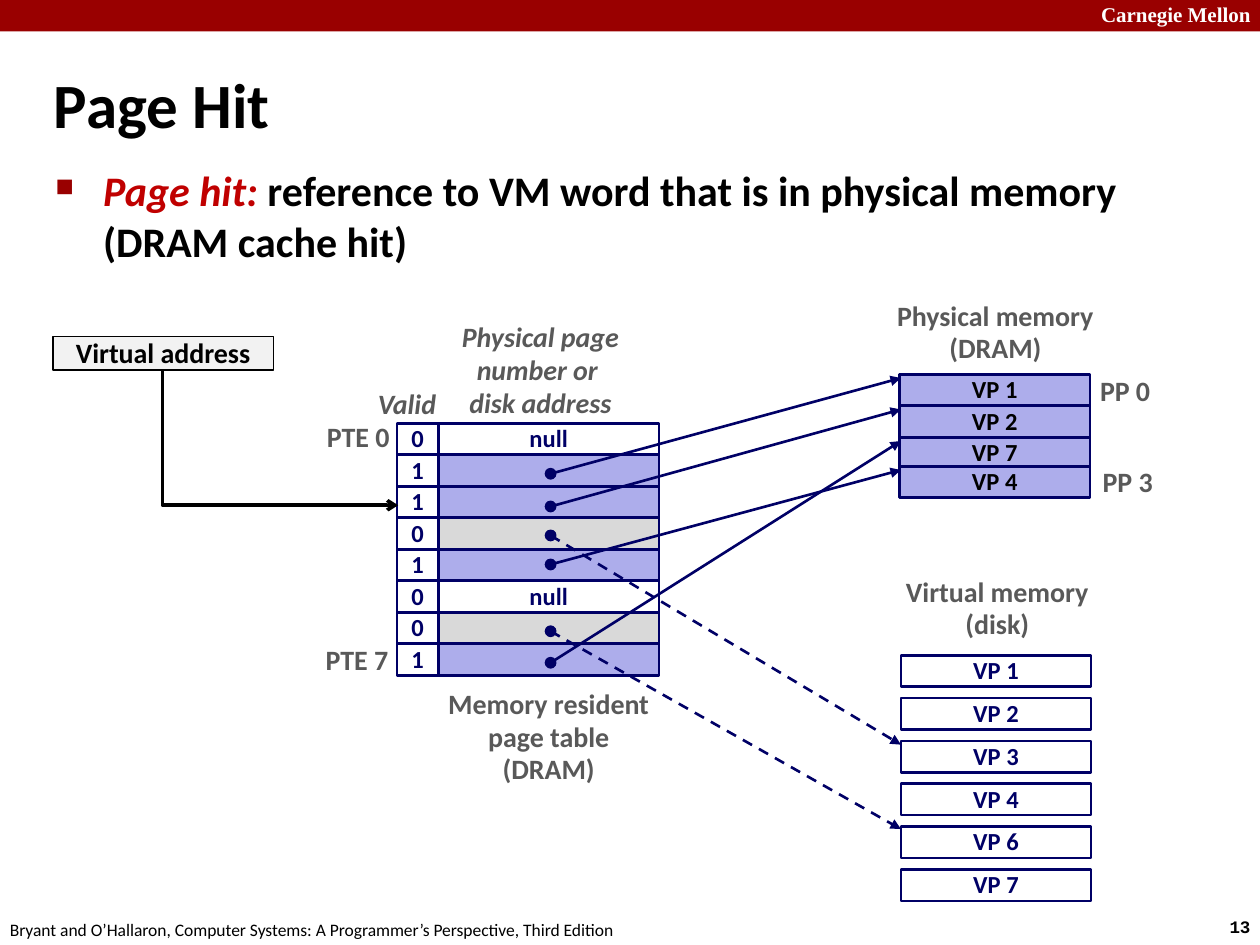
import pptx
import pptx.dml.color
import pptx.enum.dml
import pptx.enum.shapes
import pptx.enum.text
import pptx.oxml.ns
import pptx.util
from lxml import etree

Inches = pptx.util.Inches
RGBColor = pptx.dml.color.RGBColor
Align = pptx.enum.text.PP_ALIGN
Anchor = pptx.enum.text.MSO_ANCHOR
Preset = pptx.enum.shapes.MSO_SHAPE
qn = pptx.oxml.ns.qn

BLACK = RGBColor(0x00, 0x00, 0x00)
WHITE = RGBColor(0xFF, 0xFF, 0xFF)
CRIMSON = RGBColor(0x99, 0x00, 0x00)
RED = RGBColor(0xC0, 0x00, 0x00)
NAVY = RGBColor(0x00, 0x00, 0x66)
LAVENDER = RGBColor(0xAD, 0xAD, 0xEB)
SILVER = RGBColor(0xD9, 0xD9, 0xD9)
PALE = RGBColor(0xF2, 0xF2, 0xF2)
GRAY = RGBColor(0x59, 0x59, 0x59)


class Painter:
    """Holds the text style and the slide being drawn."""

    font = "Calibri"
    spacing = 0.98

    def __init__(self, slide):
        self.shapes = slide.shapes

    def span(self, para, text, size, color, bold=True, italic=False, font=None):
        span = para.add_run()
        span.text = text
        span.font.name = font or self.font
        span.font.size = pptx.util.Pt(size)
        span.font.color.rgb = color
        span.font.bold = bold
        span.font.italic = italic

    def frame(self, left, top, width, height, anchor=Anchor.TOP, wrap=False):
        box = self.shapes.add_textbox(
            Inches(left), Inches(top), Inches(width), Inches(height))
        box.text_frame.word_wrap = wrap
        box.text_frame.vertical_anchor = anchor
        return box.text_frame

    def label(self, left, top, width, height, lines, size=16, color=GRAY,
              align=Align.CENTER, **style):
        frame = self.frame(left, top, width, height)
        for index, line in enumerate(lines):
            para = frame.add_paragraph() if index else frame.paragraphs[0]
            para.alignment = align
            para.line_spacing = self.spacing
            self.span(para, line, size, color, **style)

    def bullet(self, para, char, color, percent, indent):
        props = para._p.get_or_add_pPr()
        props.set("marL", str(Inches(indent)))
        props.set("indent", str(-Inches(indent)))
        tint = etree.SubElement(props, qn("a:buClr"))
        etree.SubElement(tint, qn("a:srgbClr"), val=str(color))
        etree.SubElement(props, qn("a:buSzPct"), val=str(percent * 1000))
        etree.SubElement(props, qn("a:buChar"), char=char)

    def cell(self, left, top, width, height, fill, text="", color=NAVY,
             size=14, line=NAVY, weight=1.5, preset=Preset.RECTANGLE):
        shape = self.shapes.add_shape(
            preset, Inches(left), Inches(top), Inches(width), Inches(height))
        shape.shadow.inherit = False
        shape.fill.solid()
        shape.fill.fore_color.rgb = fill
        if line is None:
            shape.line.fill.background()
        else:
            shape.line.color.rgb = line
            shape.line.width = pptx.util.Pt(weight)
        if text:
            shape.text_frame.word_wrap = False
            shape.text_frame.vertical_anchor = Anchor.MIDDLE
            para = shape.text_frame.paragraphs[0]
            para.alignment = Align.CENTER
            para.line_spacing = self.spacing
            self.span(para, text, size, color)

    def dot(self, x, y, diameter=0.08):
        self.cell(x - diameter / 2, y - diameter / 2, diameter, diameter,
                  NAVY, weight=1, preset=Preset.OVAL)

    def stroke(self, shape, color, weight, head, dashed=False):
        """Style a line and put an arrowhead on its end."""
        shape.line.color.rgb = color
        shape.line.width = pptx.util.Pt(weight)
        if dashed:
            shape.line.dash_style = pptx.enum.dml.MSO_LINE.DASH
        outline = shape.element.spPr.find(qn("a:ln"))
        etree.SubElement(outline, qn("a:tailEnd"), type=head)

    def arrow(self, x1, y1, x2, y2, dashed):
        connector = self.shapes.add_connector(
            pptx.enum.shapes.MSO_CONNECTOR.STRAIGHT,
            Inches(x1), Inches(y1), Inches(x2), Inches(y2))
        self.stroke(connector, NAVY, 1.5, "triangle", dashed)
        etree.SubElement(connector.element.spPr, qn("a:effectLst"))

    def bent_arrow(self, start, *points):
        builder = self.shapes.build_freeform(Inches(start[0]), Inches(start[1]))
        builder.add_line_segments(
            [(Inches(x), Inches(y)) for x, y in points], close=False)
        shape = builder.convert_to_shape()
        shape.shadow.inherit = False
        shape.fill.background()
        self.stroke(shape, BLACK, 2, "arrow")


def draw_frame(painter):
    painter.cell(0, 0, 10, 0.25, CRIMSON, line=None)
    painter.label(8.64, -0.03, 1.43, 0.3, ["Carnegie Mellon"], 12, WHITE,
                  Align.LEFT, font="Times New Roman")
    painter.label(9.66, 7.23, 0.45, 0.27, ["13"], 10, BLACK, Align.LEFT,
                  font="Courier New")
    painter.label(-0.02, 7.25, 5.08, 0.27,
                  ["Bryant and O’Hallaron, Computer Systems: "
                   "A Programmer’s Perspective, Third Edition"],
                  10, BLACK, Align.LEFT, bold=False)

    title = painter.frame(0.33, 0.39, 9.06, 0.86, Anchor.MIDDLE, wrap=True)
    painter.span(title.paragraphs[0], "Page Hit", 36, BLACK)
    body = painter.frame(0.34, 1.26, 9.09, 0.66, wrap=True)
    para = body.paragraphs[0]
    painter.bullet(para, "■", CRIMSON, 60, 0.38)
    painter.span(para, "Page hit: ", 24, RED, italic=True)
    painter.span(para, "reference to VM word that is in physical memory "
                       "(DRAM cache hit)", 24, BLACK)


def draw_page_table(painter):
    row_height, top = 0.25, 3.36
    entries = [("0", WHITE, "null"), ("1", LAVENDER, ""), ("1", LAVENDER, ""),
               ("0", SILVER, ""), ("1", LAVENDER, ""), ("0", WHITE, "null"),
               ("0", SILVER, ""), ("1", LAVENDER, "")]
    for row, (valid, fill, text) in enumerate(entries):
        y = top + row * row_height
        painter.cell(3.48, y, 1.75, row_height, fill, text)
        painter.cell(3.15, y, 0.33, row_height, WHITE, valid)

    painter.label(2.9, 3.03, 0.75, 0.37, ["Valid"], align=Align.LEFT, italic=True)
    painter.label(3.56, 2.5, 1.46, 0.89,
                  ["Physical page", "number or ", "disk address"], italic=True)
    painter.label(2.49, 3.29, 0.7, 0.37, ["PTE 0"], align=Align.RIGHT)
    painter.label(2.48, 5.06, 0.7, 0.37, ["PTE 7"], align=Align.RIGHT)
    painter.label(3.43, 5.41, 1.85, 0.89,
                  ["Memory resident", "page table", "(DRAM)"])


def draw_memories(painter):
    painter.label(7.01, 2.33, 1.78, 0.63, ["Physical memory", "(DRAM)"])
    for page, y in (("VP 1", 2.97), ("VP 2", 3.22), ("VP 7", 3.47), ("VP 4", 3.7)):
        painter.cell(7.14, y, 1.51, 0.25, LAVENDER, page, BLACK)
    painter.label(8.63, 2.93, 0.6, 0.37, ["PP 0"])
    painter.label(8.65, 3.65, 0.6, 0.37, ["PP 3"])

    painter.label(7.07, 4.52, 1.69, 0.63, ["Virtual memory", "(disk)"])
    for index, number in enumerate((1, 2, 3, 4, 6, 7)):
        painter.cell(7.15, 5.2 + 0.34 * index, 1.51, 0.25, WHITE, f"VP {number}")


def draw_pointers(painter):
    pointers = [(3.76, 3.0, False), (4.02, 3.25, False), (4.25, 5.91, True),
                (4.48, 3.73, False), (5.01, 6.58, True), (5.26, 3.5, False)]
    for y, target, on_disk in pointers:
        painter.arrow(4.37, y, 7.15, target, dashed=on_disk)
        painter.dot(4.37, y)
    painter.cell(0.42, 2.67, 1.75, 0.27, PALE, "Virtual address", BLACK, 16,
                 line=BLACK, weight=1)
    painter.bent_arrow((1.29, 2.93), (1.29, 4.01), (3.16, 4.01))


def main():
    deck = pptx.Presentation()
    deck.slide_width, deck.slide_height = Inches(10), Inches(7.5)
    painter = Painter(deck.slides.add_slide(deck.slide_layouts[6]))
    draw_frame(painter)
    draw_page_table(painter)
    draw_memories(painter)
    draw_pointers(painter)
    deck.save("out.pptx")


if __name__ == "__main__":
    main()
